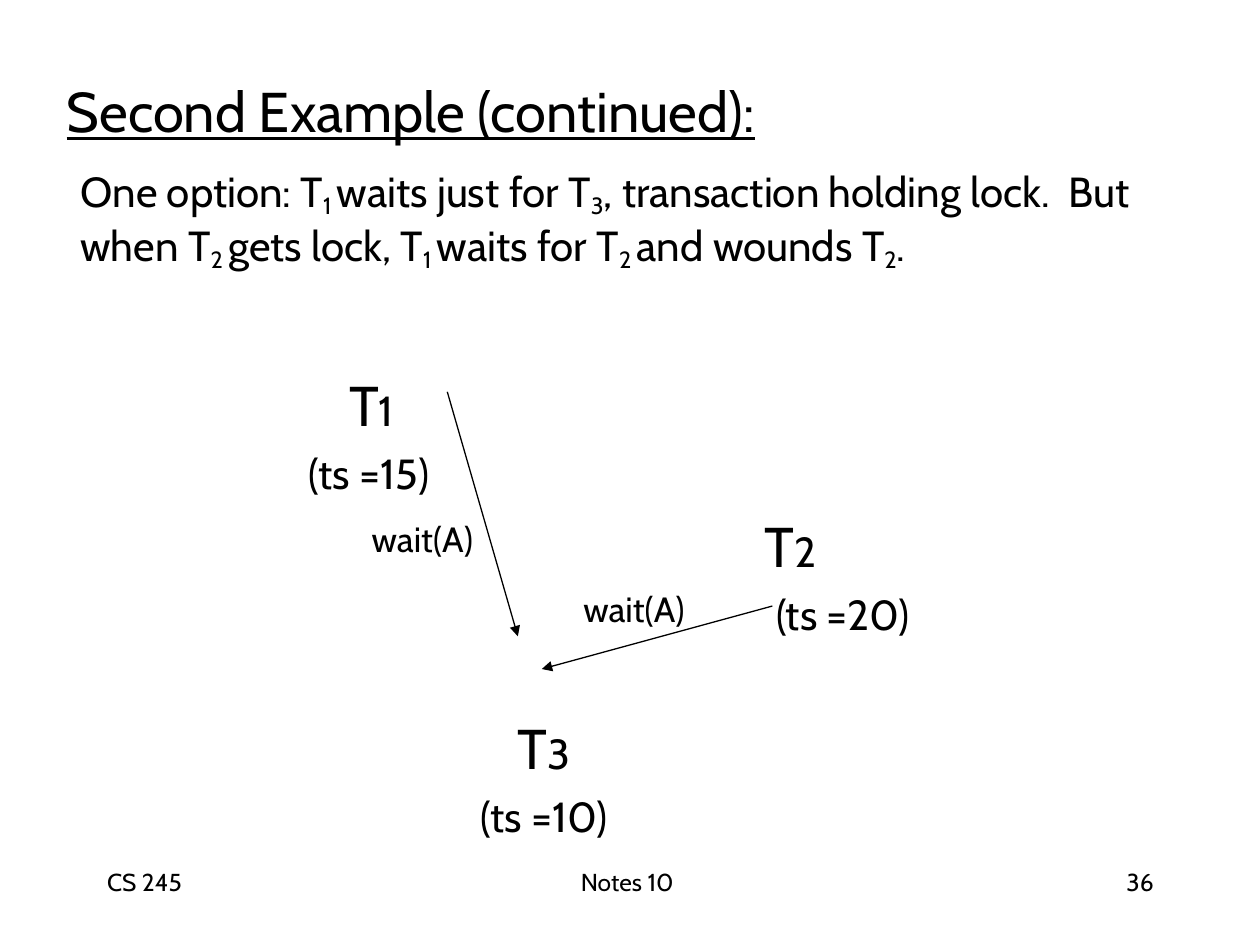
from lxml.etree import SubElement
from pptx import Presentation
from pptx.dml.color import RGBColor
from pptx.enum.shapes import MSO_CONNECTOR
from pptx.enum.text import PP_ALIGN
from pptx.oxml.ns import qn
from pptx.util import Inches, Pt

COLOURS = {"ink": "000000", "paper": "FFFFFF"}
INK = RGBColor.from_string(COLOURS["ink"])


def add_text(left, top, width, height, paragraphs, inset=0.01):
    box = slide.shapes.add_textbox(Inches(left), Inches(top), Inches(width), Inches(height))
    frame = box.text_frame
    frame.word_wrap = True
    frame.margin_left = frame.margin_right = frame.margin_bottom = 0
    frame.margin_top = Inches(inset)
    for index, (runs, indent, space) in enumerate(paragraphs):
        para = frame.add_paragraph() if index else frame.paragraphs[0]
        para._p.get_or_add_pPr().set("marL", str(Inches(indent)))
        if index:
            para.space_before = Pt(space)
        for text, size in runs:
            span = para.add_run()
            span.text = text
            span.font.name = "Cabin"
            span.font.size = Pt(size)
            span.font.color.rgb = INK
    return frame


def add_arrow(start_x, start_y, end_x, end_y):
    arrow = slide.shapes.add_connector(
        MSO_CONNECTOR.STRAIGHT, Inches(start_x), Inches(start_y), Inches(end_x), Inches(end_y)
    )
    arrow.line.color.rgb = INK
    arrow.line.width = Pt(0.75)
    SubElement(arrow.line._get_or_add_ln(), qn("a:tailEnd"), type="triangle")
    SubElement(arrow._element.spPr, qn("a:effectLst"))


deck = Presentation()
deck.slide_width = Inches(10)
deck.slide_height = Inches(7.5)
slide = deck.slides.add_slide(deck.slide_layouts[6])
slide.background.fill.solid()
slide.background.fill.fore_color.rgb = RGBColor.from_string(COLOURS["paper"])

title = add_text(0.52, 0.6, 5.8, 0.56, [([("Second Example (continued):", 32)], 0.01, 0)])
title.paragraphs[0].runs[0].font.underline = True

explanation = (
    "One option: T_1 _waits just for T_3_, transaction holding lock.  But "
    "when T_2 _gets lock, T_1 _waits for T_2 _and wounds T_2_."
)
pieces = [(text, 23.2 if index % 2 else 24) for index, text in enumerate(explanation.split("_"))]
body = add_text(0.61, 1.3, 8.43, 0.83, [(pieces, 0.03, 0)])
for span in body.paragraphs[0].runs[1::2]:
    span.font._element.set("baseline", "-18000")

wait_label = [("wait(A)", 20)]
transactions = [
    ("1", "15", 2.44, 2.82, 1.41, 1.63, 0.33, 0.01, [(wait_label, 0.51, 10.9)]),
    ("2", "20", 6.06, 3.94, 1.34, 1.15, 0.01, 0.1, []),
    ("3", "10", 3.69, 5.54, 1.25, 1.15, 0, 0, []),
]
for number, stamp, left, top, width, height, name_indent, stamp_indent, extra in transactions:
    lines = [
        ([("T", 32), (number, 24)], name_indent, 0),
        ([(f"(ts ={stamp})", 24)], stamp_indent, 5.7),
    ]
    node = add_text(left, top, width, height, lines + extra, 0.12)
    if number == "3":
        for para in node.paragraphs:
            para.alignment = PP_ALIGN.CENTER

add_text(4.62, 4.65, 0.91, 0.36, [(wait_label, 0.01, 0)])

add_arrow(3.55, 3.11, 4.11, 5.05)
add_arrow(6.13, 4.81, 4.3, 5.31)

for text, left, width, indent in [
    ("CS 245", 0.84, 0.63, 0.01),
    ("Notes 10", 4.6, 0.79, 0.01),
    ("36", 8.9, 0.3, 0.04),
]:
    add_text(left, 6.87, width, 0.26, [([(text, 14)], indent, 0)])

deck.save("out.pptx")
